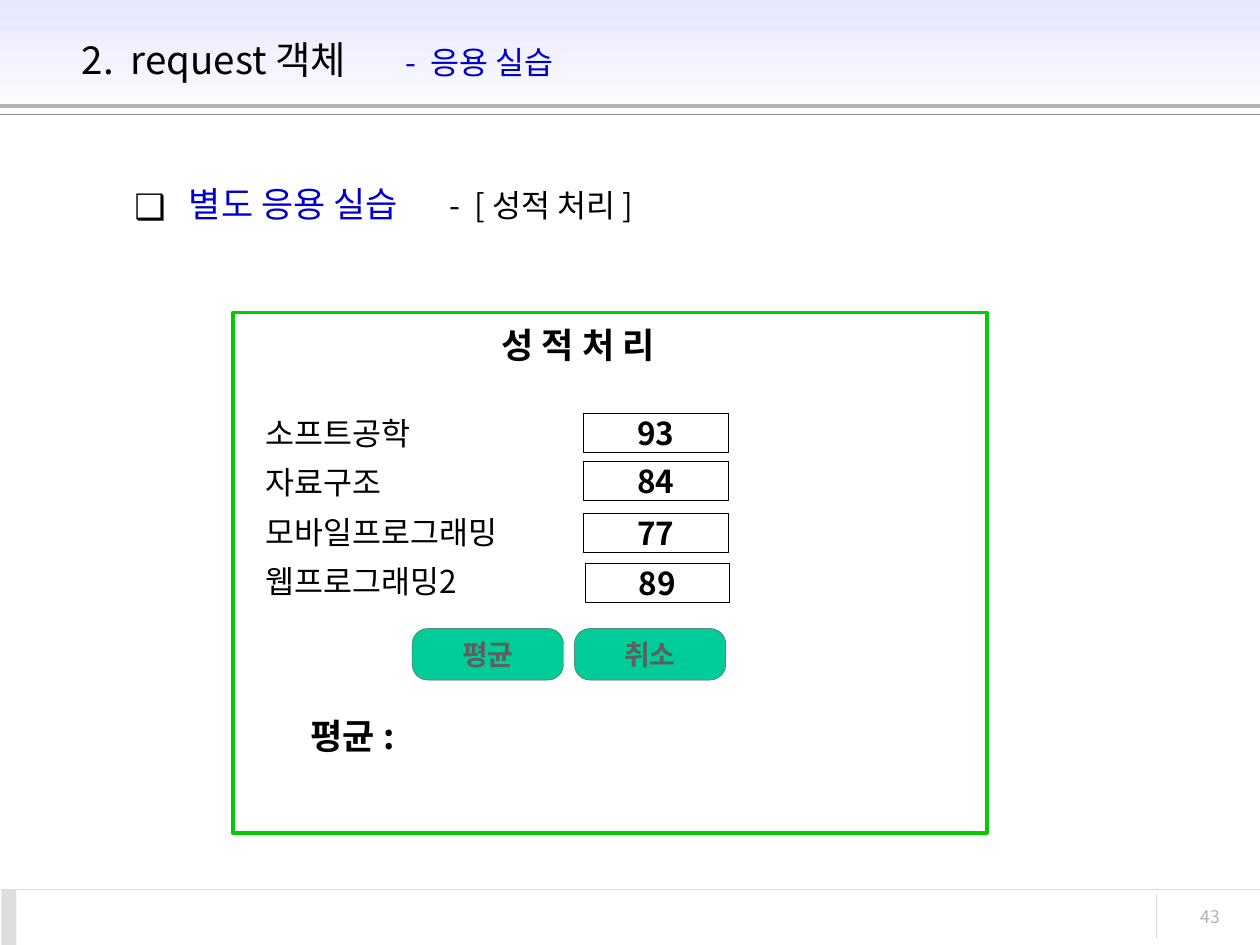
from dataclasses import dataclass

from lxml import etree
from pptx import Presentation
from pptx.dml.color import RGBColor
from pptx.enum import shapes, text
from pptx.oxml import ns
from pptx.util import Cm, Pt

FONT = "Noto Sans CJK KR"
BLACK = RGBColor(0x00, 0x00, 0x00)
WHITE = RGBColor(0xFF, 0xFF, 0xFF)
BLUE = RGBColor(0x00, 0x00, 0xCC)
LILAC = RGBColor(0xE7, 0xE7, 0xFF)
GREEN = RGBColor(0x00, 0xCC, 0x00)
TEAL = RGBColor(0x00, 0xCC, 0x99)
SLATE = RGBColor(0x5F, 0x5F, 0x5F)
GRAY = RGBColor(0x96, 0x96, 0x96)
SILVER = RGBColor(0xB2, 0xB2, 0xB2)
PALE = RGBColor(0xDD, 0xDD, 0xDD)

RECT = shapes.MSO_SHAPE.RECTANGLE
ROUND = shapes.MSO_SHAPE.ROUNDED_RECTANGLE
LEFT, MID, RIGHT = (text.PP_ALIGN.LEFT, text.PP_ALIGN.CENTER,
                    text.PP_ALIGN.RIGHT)
WIDE, HIGH = 25.4, 19.05


@dataclass
class Area:
    left: float
    top: float
    width: float
    height: float

    def cm(self) -> list:
        return [Cm(v) for v in (self.left, self.top, self.width, self.height)]


@dataclass
class Style:
    size: float
    color: RGBColor = BLACK
    bold: bool = False
    align: int = LEFT


@dataclass
class Rule:
    x1: float
    y1: float
    x2: float
    y2: float
    color: RGBColor
    width: float = 0.75


RULES = [
    Rule(0, 2.13, WIDE, 2.13, SILVER, 2.25),
    Rule(0, 2.31, WIDE, 2.31, GRAY),
    Rule(0, 17.93, WIDE, 17.93, PALE),
    Rule(23.32, 18.03, 23.32, 18.9, PALE),
]
SCORES = [("93", 11.76, 8.33), ("84", 11.76, 9.3),
          ("77", 11.76, 10.34), ("89", 11.79, 11.35)]
NAMES = ["소프트공학", "자료구조", "모바일프로그래밍", "웹프로그래밍2"]
BUTTONS = [("평균", 8.31), ("취소", 11.58)]


def style(para, look: Style) -> None:
    """Set the paragraph font, for Latin and East Asian letters alike."""
    para.alignment = look.align
    font = para.font
    font.size, font.bold, font.name = Pt(look.size), look.bold, FONT
    font.color.rgb = look.color
    base = para._p.pPr.find(ns.qn("a:defRPr"))
    etree.SubElement(base, ns.qn("a:ea"), typeface=FONT)


def box(page, area: Area, lines: list[str], look: Style, wrap: bool = False):
    frame = page.shapes.add_textbox(*area.cm()).text_frame
    frame.word_wrap = wrap
    frame.text = "\n".join(lines)
    for para in frame.paragraphs:
        style(para, look)
    return frame


def shape(page, kind, area: Area, fill=None, line=None, width: float = 0.25):
    item = page.shapes.add_shape(kind, *area.cm())
    item.shadow.inherit = False
    if fill is None:
        item.fill.background()
    else:
        item.fill.solid()
        item.fill.fore_color.rgb = fill
    if line is None:
        item.line.fill.background()
    else:
        item.line.color.rgb = line
        item.line.width = Pt(width)
    return item


def label(item, words: str, look: Style) -> None:
    frame = item.text_frame
    frame.word_wrap = False
    frame.vertical_anchor = text.MSO_ANCHOR.MIDDLE
    frame.text = words
    style(frame.paragraphs[0], look)


def rule(page, spec: Rule) -> None:
    line = page.shapes.add_connector(
        shapes.MSO_CONNECTOR.STRAIGHT,
        Cm(spec.x1), Cm(spec.y1), Cm(spec.x2), Cm(spec.y2))
    line.line.color.rgb = spec.color
    line.line.width = Pt(spec.width)
    etree.SubElement(line._element.spPr, ns.qn("a:effectLst"))


def add_tab(para, pos: float) -> None:
    tabs = etree.SubElement(para._p.get_or_add_pPr(), ns.qn("a:tabLst"))
    etree.SubElement(tabs, ns.qn("a:tab"), pos=str(Cm(pos)), algn="l")


def add_bullet(para, mark: str, indent: float) -> None:
    props = para._p.get_or_add_pPr()
    props.set("marL", str(Cm(indent)))
    props.set("indent", str(-Cm(indent)))
    tint = etree.SubElement(props, ns.qn("a:buClr"))
    etree.SubElement(tint, ns.qn("a:srgbClr"), val=str(BLACK))
    etree.SubElement(props, ns.qn("a:buFont"), typeface=FONT)
    etree.SubElement(props, ns.qn("a:buChar"), char=mark)


def heading(para, main: str, side: str, look: Style, tone: RGBColor,
            tab: float) -> None:
    """Write a main phrase and, after a tab, a smaller one in another colour."""
    add_tab(para, tab)
    style(para, look)
    para.add_run().text = main + "\t"
    tail = para.add_run()
    tail.text = side
    tail.font.size = Pt(18)
    tail.font.color.rgb = tone


def frame_page(page) -> None:
    band = shape(page, RECT, Area(0, 0, WIDE, 2.54))
    band.fill.gradient()
    band.fill.gradient_angle = 270
    for stop, color, pos in zip(band.fill.gradient_stops, (LILAC, WHITE), (0, 1)):
        stop.color.rgb = color
        stop.position = pos
    for spec in RULES:
        rule(page, spec)
    shape(page, RECT, Area(0.03, 17.93, 0.3, 1.12), PALE)
    box(page, Area(22.5, 18.14, 2.34, 0.84), ["43"],
        Style(10, SILVER, align=RIGHT), wrap=True)


def titles(page) -> None:
    top = page.shapes.add_textbox(*Area(1.4, 0.33, 21.92, 1.73).cm()).text_frame
    top.word_wrap = True
    top.vertical_anchor = text.MSO_ANCHOR.MIDDLE
    heading(top.paragraphs[0], "2.  request 객체", "-  응용 실습",
            Style(22), BLUE, 6.53)

    body = page.shapes.add_textbox(*Area(2.46, 3.56, 22.02, 12.57).cm()).text_frame
    body.word_wrap = True
    para = body.paragraphs[0]
    para.space_after = Pt(11.2)
    add_bullet(para, "❑", 1.1)
    heading(para, "별도 응용 실습", "-  [ 성적 처리 ]",
            Style(20, BLUE), BLACK, 6.35)


def form(page) -> None:
    shape(page, RECT, Area(4.7, 6.3, 15.19, 10.49), WHITE, GREEN, 2.25)
    head = Style(20, bold=True, align=MID)
    box(page, Area(9.8, 6.4, 3.71, 1.12), ["성 적 처 리"], head)
    names = box(page, Area(5.11, 8, 5.18, 4.22), NAMES, Style(18))
    for para in names.paragraphs:
        para.line_spacing = 1.3
    for mark, left, top in SCORES:
        cell = shape(page, RECT, Area(left, top, 2.92, 0.79), line=BLACK)
        label(cell, mark, Style(18, bold=True, align=MID))
    for words, left in BUTTONS:
        key = shape(page, ROUND, Area(left, 12.67, 3.05, 1.04), TEAL, SLATE)
        key.adjustments[0] = 0.3
        label(key, words, Style(16, SLATE, True, MID))
    box(page, Area(5.74, 14.27, 2.74, 1.12), ["평균 :"], head)


def main() -> None:
    deck = Presentation()
    deck.slide_width, deck.slide_height = Cm(WIDE), Cm(HIGH)
    page = deck.slides.add_slide(deck.slide_layouts[6])
    frame_page(page)
    titles(page)
    form(page)
    deck.save("out.pptx")


if __name__ == "__main__":
    main()
